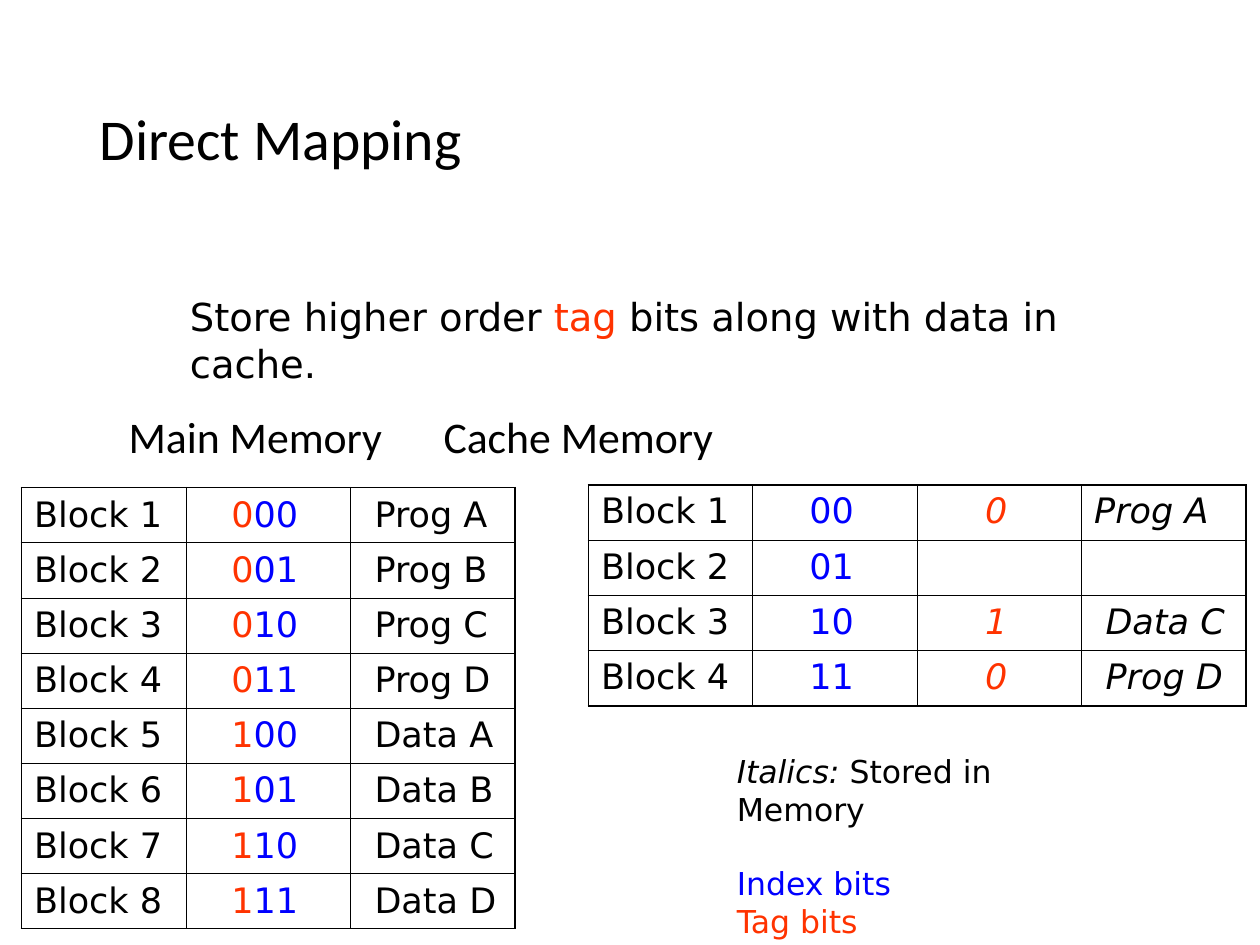
from pptx import Presentation
from pptx.dml.color import RGBColor
from pptx.enum import text
from pptx.oxml.ns import qn
from pptx.util import Inches, Pt
from lxml import etree

BLACK = RGBColor(0x00, 0x00, 0x00)
TAG_RED = RGBColor(0xFF, 0x33, 0x00)
INDEX_BLUE = RGBColor(0x00, 0x00, 0xFF)
THIN, THICK = Pt(0.45), Pt(1.08)


def add_run(paragraph, words, size, color=BLACK, italic=False, name="DejaVu Sans"):
    run = paragraph.add_run()
    run.text = words
    run.font.name = name
    run.font.size = Pt(size)
    run.font.italic = italic
    run.font.color.rgb = color


def add_memory_table(slide, position, rows, anchor):
    """Each cell is (indent in inches, [(words, color, italic), ...])."""
    row_count, column_count = len(rows), len(rows[0])
    table = slide.shapes.add_table(row_count, column_count, *position).table
    table.first_row = table.horz_banding = False
    for r, row in enumerate(rows):
        for c, (indent, runs) in enumerate(row):
            cell = table.cell(r, c)
            cell.margin_left = Inches(0.1 + indent)
            cell.vertical_anchor = anchor
            paragraph = cell.text_frame.paragraphs[0]
            paragraph.font.size = Pt(20)
            for words, color, italic in runs:
                add_run(paragraph, words, 20, color, italic)
            # Heavier lines on the outside of the grid
            outer_edges = {"a:lnL": c == 0, "a:lnR": c == column_count - 1,
                           "a:lnT": r == 0, "a:lnB": r == row_count - 1}
            properties = cell._tc.get_or_add_tcPr()
            for edge, is_outer in outer_edges.items():
                line = etree.SubElement(properties, qn(edge), w=str(THICK if is_outer else THIN))
                fill = etree.SubElement(line, qn("a:solidFill"))
                etree.SubElement(fill, qn("a:srgbClr"), val=str(BLACK))
            cell.fill.background()


presentation = Presentation()
presentation.slide_width = Inches(10)
presentation.slide_height = Inches(7.5)
slide = presentation.slides.add_slide(presentation.slide_layouts[1])

# Title
title = slide.shapes.title
title.left, title.top, title.width, title.height = map(Inches, (0.69, 0.4, 8.63, 1.45))
title.text_frame.auto_size = text.MSO_AUTO_SIZE.NONE
title.text_frame.vertical_anchor = text.MSO_ANCHOR.MIDDLE
paragraph = title.text_frame.paragraphs[0]
paragraph.alignment = text.PP_ALIGN.LEFT
paragraph.line_spacing = 0.9
add_run(paragraph, "Direct Mapping", 33, name="Calibri")

# Table headings, the second one at a tab stop
headings = slide.placeholders[1]
headings.left, headings.top, headings.width, headings.height = map(Inches, (0.92, 3.25, 8.17, 1.34))
headings.text_frame.auto_size = text.MSO_AUTO_SIZE.NONE
paragraph = headings.text_frame.paragraphs[0]
properties = paragraph._p.get_or_add_pPr()
properties.set("marL", "0")
properties.set("indent", "0")
etree.SubElement(properties, qn("a:buNone"))
tabs = etree.SubElement(properties, qn("a:tabLst"))
etree.SubElement(tabs, qn("a:tab"), pos=str(Inches(3.81)), algn="l")
paragraph.line_spacing = 0.9
paragraph.space_before = Pt(0)
add_run(paragraph, "Main Memory\tCache Memory", 25, name="Calibri")

# Main memory: a tag bit and two index bits address each block
contents = [f"{kind} {letter}" for kind in ("Prog", "Data") for letter in "ABCD"]
main_rows = []
for number, content in enumerate(contents):
    address = f"{number:03b}"
    main_rows.append([
        (0, [(f"Block {number + 1}", BLACK, False)]),
        (0.26, [(address[0], TAG_RED, False), (address[1:], INDEX_BLUE, False)]),
        (0.09, [(content, BLACK, False)]),
    ])
add_memory_table(slide, map(Inches, (0.17, 3.87, 3.92, 3.5)), main_rows, text.MSO_ANCHOR.MIDDLE)

# Cache memory: the tag and the data are stored
stored = [("0", "Prog A", 0), ("", "", 0), ("1", "Data C", 0.09), ("0", "Prog D", 0.09)]
cache_rows = []
for number, (tag, content, indent) in enumerate(stored):
    cache_rows.append([
        (0, [(f"Block {number + 1}", BLACK, False)]),
        (0.35, [(f"{number:02b}", INDEX_BLUE, False)]),
        (0.44, [(tag, TAG_RED, True)] if tag else []),
        (indent, [(content, BLACK, True)] if content else []),
    ])
add_memory_table(slide, map(Inches, (4.67, 3.85, 5.22, 1.75)), cache_rows, text.MSO_ANCHOR.TOP)

# Legend
legend = slide.shapes.add_textbox(*map(Inches, (5.75, 5.92, 3.16, 1.3))).text_frame
legend.word_wrap = True
paragraph = legend.paragraphs[0]
add_run(paragraph, "Italics: ", 18, italic=True)
add_run(paragraph, "Stored in Memory", 18)
for label, color, gap in (("Index bits", INDEX_BLUE, 21), ("Tag bits", TAG_RED, 0)):
    paragraph = legend.add_paragraph()
    paragraph.space_before = Pt(gap)
    add_run(paragraph, label, 18, color)

# Statement
statement = slide.shapes.add_textbox(*map(Inches, (1.41, 2.28, 7.64, 0.47))).text_frame
statement.word_wrap = True
paragraph = statement.paragraphs[0]
add_run(paragraph, "Store higher order ", 22)
add_run(paragraph, "tag", 22, TAG_RED)
add_run(paragraph, " bits along with data in cache.", 22)

presentation.save("out.pptx")
